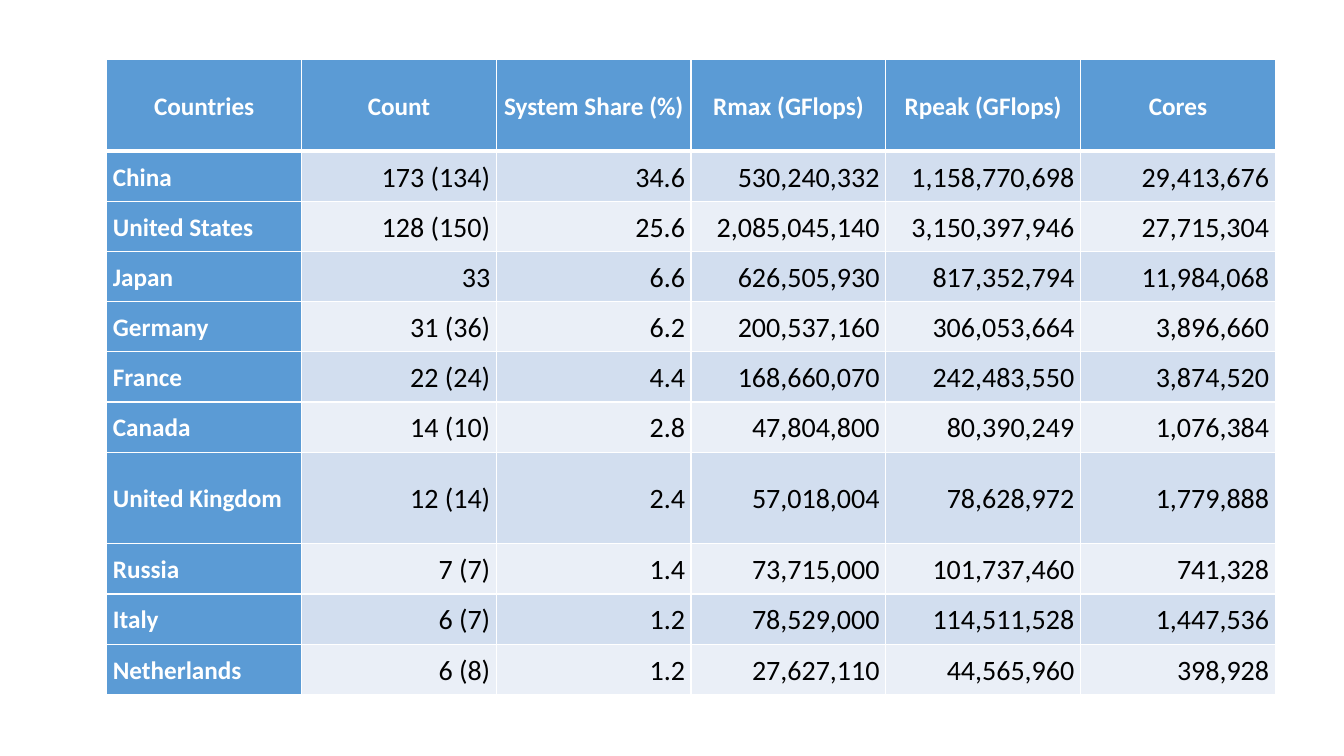
from lxml.etree import SubElement
from pptx import Presentation
from pptx.dml.color import RGBColor
from pptx.enum.text import MSO_ANCHOR, PP_ALIGN
from pptx.oxml.ns import qn
from pptx.util import Inches, Pt

# Content
HEADS = ["Countries", "Count", "System Share (%)",
         "Rmax (GFlops)", "Rpeak (GFlops)", "Cores"]
ROWS = [
    ("China", "173 (134)", "34.6", "530,240,332", "1,158,770,698", "29,413,676"),
    ("United States", "128 (150)", "25.6", "2,085,045,140", "3,150,397,946", "27,715,304"),
    ("Japan", "33", "6.6", "626,505,930", "817,352,794", "11,984,068"),
    ("Germany", "31 (36)", "6.2", "200,537,160", "306,053,664", "3,896,660"),
    ("France", "22 (24)", "4.4", "168,660,070", "242,483,550", "3,874,520"),
    ("Canada", "14 (10)", "2.8", "47,804,800", "80,390,249", "1,076,384"),
    ("United Kingdom", "12 (14)", "2.4", "57,018,004", "78,628,972", "1,779,888"),
    ("Russia", "7 (7)", "1.4", "73,715,000", "101,737,460", "741,328"),
    ("Italy", "6 (7)", "1.2", "78,529,000", "114,511,528", "1,447,536"),
    ("Netherlands", "6 (8)", "1.2", "27,627,110", "44,565,960", "398,928"),
]
TALL = (0, 7)  # header and United Kingdom

# Style
FONT = "Calibri"
BLUE = RGBColor(0x5B, 0x9B, 0xD5)
BANDS = (RGBColor(0xEA, 0xEF, 0xF7), RGBColor(0xD2, 0xDE, 0xEF))
WHITE = RGBColor(0xFF, 0xFF, 0xFF)
BLACK = RGBColor(0, 0, 0)

# Layout
LEFT, TOP, WIDTH, HEIGHT = 1.06, 0.59, 11.59, 6.3
HIGH = 0.91


def add_edge(cell, side, width):
    line = SubElement(cell._tc.get_or_add_tcPr(), qn("a:ln" + side), w=str(Pt(width)))
    fill = SubElement(line, qn("a:solidFill"))
    SubElement(fill, qn("a:srgbClr"), val=str(WHITE))


def fill_cell(cell, text, row, col):
    head, label = row == 0, row == 0 or col == 0
    cell.margin_left = cell.margin_right = Inches(0.06)
    cell.margin_top = cell.margin_bottom = Inches(0.02)
    cell.vertical_anchor = MSO_ANCHOR.MIDDLE

    # Borders, with a thick rule under the header
    thick = {"T": row == 1, "B": head}
    for side in "LRTB":
        add_edge(cell, side, 3 if thick.get(side) else 1)
    cell.fill.solid()
    cell.fill.fore_color.rgb = BLUE if label else BANDS[row % 2]

    # Text
    para = cell.text_frame.paragraphs[0]
    para.line_spacing = 1.07
    para.alignment = (PP_ALIGN.CENTER if head
                      else PP_ALIGN.LEFT if label else PP_ALIGN.RIGHT)
    run = para.add_run()
    run.text = text
    run.font.name = FONT
    run.font.size = Pt(18 if label else 20)
    run.font.bold = label
    run.font.color.rgb = WHITE if label else BLACK


def main():
    deck = Presentation()
    deck.slide_width, deck.slide_height = Inches(13.33), Inches(7.5)
    slide = deck.slides.add_slide(deck.slide_layouts[6])

    # Table of countries
    data = [HEADS, *ROWS]
    table = slide.shapes.add_table(
        len(data), len(HEADS), Inches(LEFT), Inches(TOP),
        Inches(WIDTH), Inches(HEIGHT)).table
    table.first_col = True
    for col in table.columns:
        col.width = Inches(WIDTH / len(HEADS))
    low = (HEIGHT - HIGH * len(TALL)) / (len(data) - len(TALL))
    for r, texts in enumerate(data):
        table.rows[r].height = Inches(HIGH if r in TALL else low)
        for c, text in enumerate(texts):
            fill_cell(table.cell(r, c), text, r, c)

    deck.save("out.pptx")


if __name__ == "__main__":
    main()
